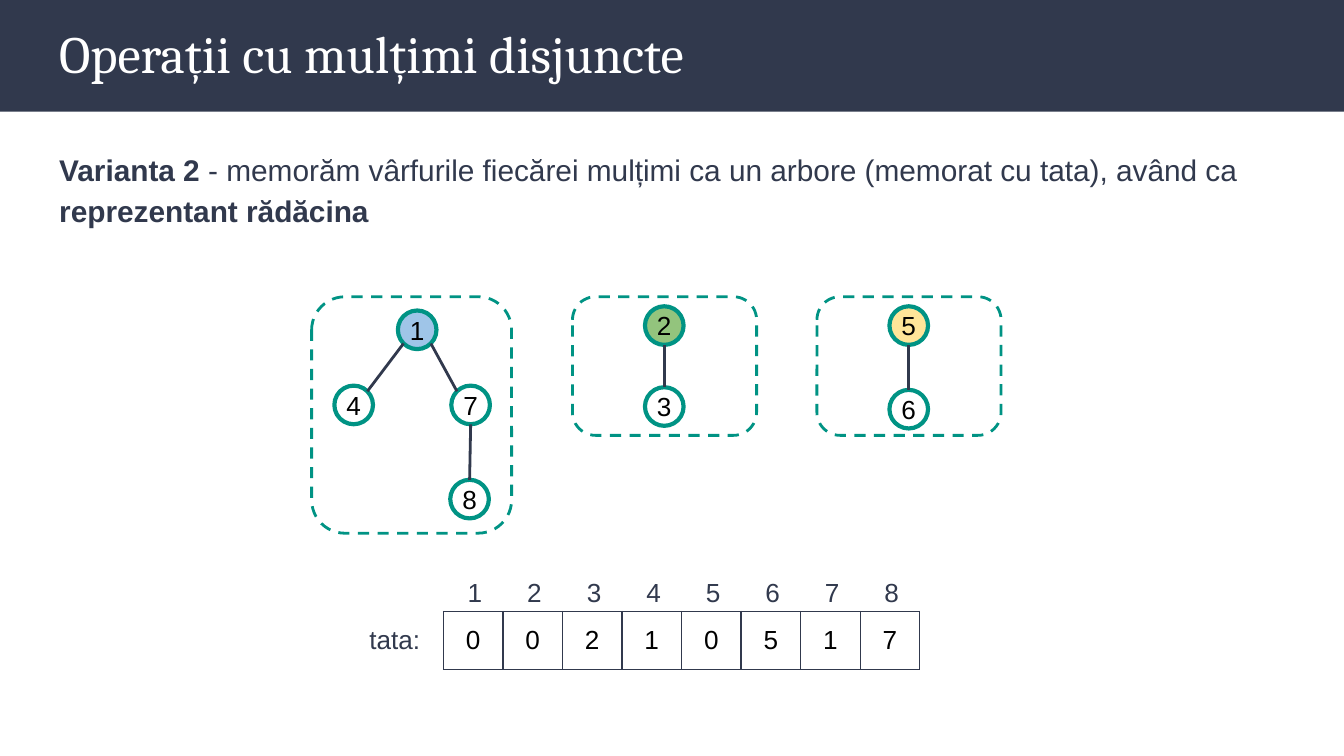
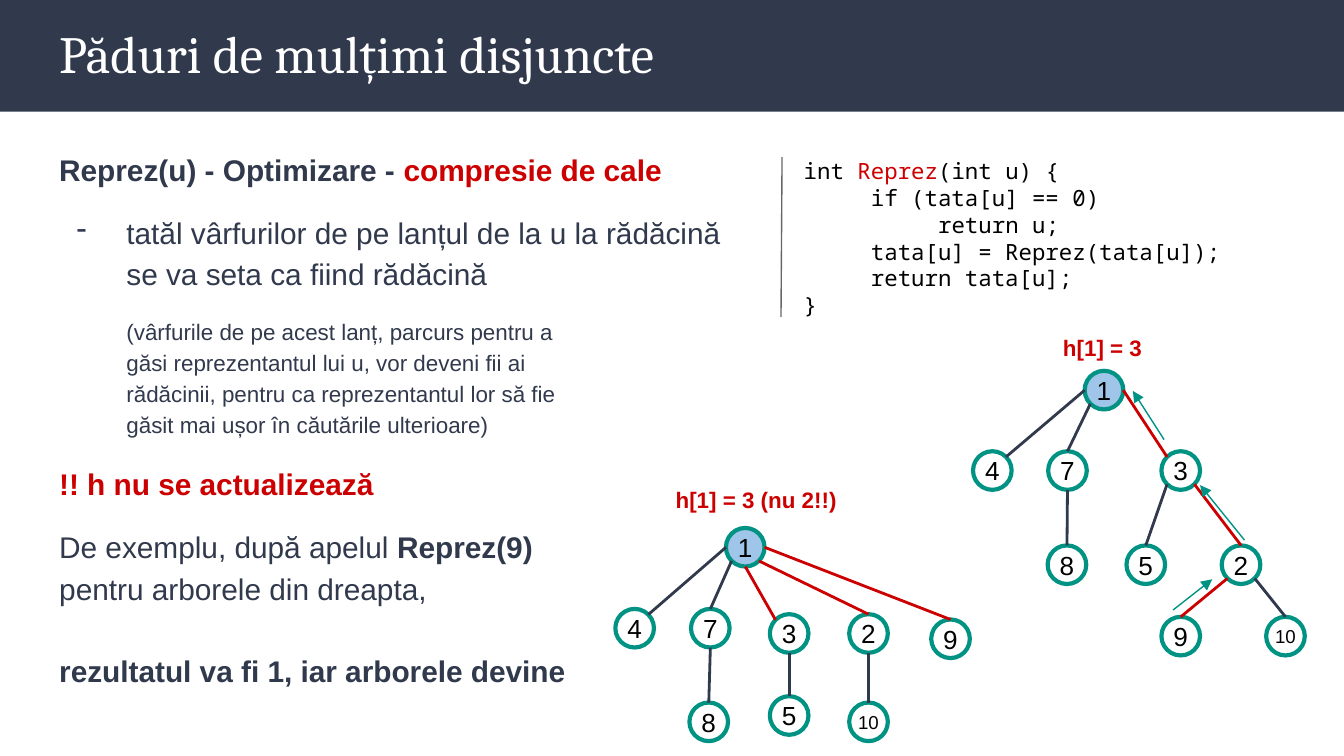
import math
from dataclasses import dataclass
from typing import Any, NamedTuple

import pptx
import pptx.dml.color
import pptx.enum.dml
import pptx.enum.shapes
import pptx.enum.text
import pptx.oxml
import pptx.oxml.ns
import pptx.util

Cm = pptx.util.Cm
Pt = pptx.util.Pt
SHAPE = pptx.enum.shapes.MSO_SHAPE
ANCHOR = pptx.enum.text.MSO_ANCHOR
ALIGN = pptx.enum.text.PP_ALIGN


@dataclass(frozen=True)
class Theme:
    navy: str = "31394D"
    teal: str = "009384"
    red: str = "CC0000"
    blue: str = "9FC5E8"
    green: str = "93C47D"
    yellow: str = "FFE599"
    gray: str = "666666"
    black: str = "000000"
    white: str = "FFFFFF"
    title: float = 28
    body: float = 16
    label: float = 14
    note: float = 12
    tiny: float = 10
    sans: str = "Arial"
    serif: str = "Cambria"
    mono: str = "Noto Sans Mono"


T = Theme()
PAGE_W, PAGE_H = 25.4, 14.29
INSET, NODE_INSET = 0.25, 0.05
NODE = 0.73
INDEX_W = 9
RIM = {side: math.radians(45 * i) for i, side in enumerate(("E", "SE", "S", "SW", "W", "NW", "N", "NE"))}


class Box(NamedTuple):
    x: float
    y: float
    w: float
    h: float


class Run(NamedTuple):
    text: str
    color: str = T.navy
    size: float = T.body
    bold: bool = False
    font: str = T.sans


class Para(NamedTuple):
    runs: list[Run]
    fmt: dict[str, Any] = {}
    indent: float = 0
    hang: float = 0
    bullet: str = ""
    tabs: tuple[float, ...] = ()


class Node(NamedTuple):
    label: str
    x: float
    y: float
    fill: str = ""


class Edge(NamedTuple):
    parent: str
    start: str
    child: str
    end: str
    color: str = T.navy


class Tree(NamedTuple):
    nodes: list[Node]
    edges: list[Edge]


def apply(target: Any, values: dict[str, Any]) -> None:
    for name, value in values.items():
        setattr(target, name, value)


def rgb(color: str) -> pptx.dml.color.RGBColor:
    return pptx.dml.color.RGBColor.from_string(color)


def xml(tag: str, attrs: str = "", inner: str = "") -> Any:
    return pptx.oxml.parse_xml(f'<a:{tag} {pptx.oxml.ns.nsdecls("a")} {attrs}>{inner}</a:{tag}>')


def solid(color: str) -> str:
    return f'<a:solidFill><a:srgbClr val="{color}"/></a:solidFill>'


def margins(inset: float) -> dict[str, Any]:
    return {f"margin_{side}": Cm(inset) for side in ("left", "right", "top", "bottom")}


def add_run(p: Any, run: Run) -> None:
    for i, line in enumerate(run.text.split("\n")):
        if i:
            p.add_line_break()
        if line:
            r = p.add_run()
            r.text = line
            apply(r.font, {"size": Pt(run.size), "bold": run.bold, "name": run.font})
            r.font.color.rgb = rgb(run.color)


def write(tf: Any, paras: list[Para]) -> None:
    for i, para in enumerate(paras):
        p = tf.add_paragraph() if i else tf.paragraphs[0]
        pPr = p._p.get_or_add_pPr()
        if para.indent:
            pPr.set("marL", str(Cm(para.indent)))
            pPr.set("indent", str(Cm(para.hang)))
        if para.bullet:
            pPr.append(xml("buClr", inner=f'<a:srgbClr val="{T.navy}"/>'))
            pPr.append(xml("buChar", f'char="{para.bullet}"'))
        if para.tabs:
            stops = "".join(f'<a:tab pos="{Cm(t)}" algn="l"/>' for t in para.tabs)
            pPr.append(xml("tabLst", inner=stops))
        apply(p, para.fmt)
        for run in para.runs:
            add_run(p, run)


def add_text(slide: Any, box: Box, paras: list[Para]) -> None:
    tf = slide.shapes.add_textbox(*map(Cm, box)).text_frame
    apply(tf, {"word_wrap": True, **margins(INSET)})
    write(tf, paras)


def add_shape(slide: Any, kind: Any, box: Box, fill: str = "", line: str = "", width: float = 1) -> Any:
    sp = slide.shapes.add_shape(kind, *map(Cm, box))
    sp.shadow.inherit = False
    if fill:
        sp.fill.solid()
        sp.fill.fore_color.rgb = rgb(fill)
    else:
        sp.fill.background()
    if line:
        sp.line.color.rgb = rgb(line)
        sp.line.width = Pt(width)
    else:
        sp.line.fill.background()
    return sp


def add_line(slide: Any, ends: tuple[float, ...], color: str, width: float, arrow: bool = False) -> None:
    cx = slide.shapes.add_connector(pptx.enum.shapes.MSO_CONNECTOR.STRAIGHT, *map(Cm, ends))
    cx.line.color.rgb = rgb(color)
    cx.line.width = Pt(width)
    if arrow:
        cx.line._get_or_add_ln().append(xml("tailEnd", 'type="triangle"'))
    cx._element.spPr.append(xml("effectLst"))


def rim_point(node: Node, side: str) -> tuple[float, float]:
    r = NODE / 2
    return node.x + r + r * math.cos(RIM[side]), node.y + r + r * math.sin(RIM[side])


def add_tree(slide: Any, tree: Tree) -> None:
    for node in tree.nodes:
        sp = add_shape(slide, SHAPE.OVAL, Box(node.x, node.y, NODE, NODE), node.fill, T.teal, 2.25)
        tf = sp.text_frame
        apply(tf, {"vertical_anchor": ANCHOR.MIDDLE, "word_wrap": True, **margins(NODE_INSET)})
        size = T.tiny if len(node.label) > 1 else T.label
        write(tf, [Para([Run(node.label, T.black, size)], {"alignment": ALIGN.CENTER})])
    by_label = {node.label: node for node in tree.nodes}
    for edge in tree.edges:
        ends = rim_point(by_label[edge.parent], edge.start) + rim_point(by_label[edge.child], edge.end)
        add_line(slide, ends, edge.color, 1.5)


def add_parent_table(slide: Any, box: Box, values: str) -> None:
    table = slide.shapes.add_table(1, len(values), *map(Cm, box)).table
    apply(table, {"first_row": False, "horz_banding": False})
    table.rows[0].height = Cm(box.h)
    for col, value in enumerate(values):
        table.columns[col].width = Cm(box.w / len(values))
        cell = table.cell(0, col)
        apply(cell, {"vertical_anchor": ANCHOR.MIDDLE, **margins(INSET)})
        for side in "LRTB":
            cell._tc.get_or_add_tcPr().append(xml(f"ln{side}", f'w="{Pt(0.75)}"', solid(T.navy)))
        cell.fill.background()
        write(cell.text_frame, [Para([Run(value, T.black, T.label)], {"alignment": ALIGN.CENTER})])


def add_slide(prs: Any, title: str) -> Any:
    slide = prs.slides.add_slide(prs.slide_layouts[6])
    add_shape(slide, SHAPE.RECTANGLE, Box(0, 0, PAGE_W, 2.11), T.navy)
    add_text(slide, Box(0.87, 0.15, 23.67, 1.73), [Para([Run(title, T.white, T.title, font=T.serif)])])
    return slide


FIRST = {"line_spacing": 1.15}
NEXT = {**FIRST, "space_before": Pt(12)}
AFTER_GAP = {**FIRST, "space_before": Pt(22)}

SETS = [Box(5.89, 5.61, 3.78, 4.47), Box(15.44, 5.61, 3.48, 2.62), Box(10.82, 5.61, 3.48, 2.62)]
FOREST = Tree(
    [Node("1", 7.52, 5.87, T.blue), Node("7", 8.53, 7.29), Node("4", 6.32, 7.29), Node("8", 8.51, 9.07),
     Node("2", 12.19, 5.79, T.green), Node("3", 12.19, 7.32),
     Node("5", 16.81, 5.79, T.yellow), Node("6", 16.81, 7.37)],
    [Edge("1", "SW", "4", "NE"), Edge("1", "SE", "7", "NW"), Edge("7", "S", "8", "N"),
     Edge("2", "S", "3", "N"), Edge("5", "S", "6", "N")],
)

COMMON_EDGES = [Edge("1", "W", "4", "NE"), Edge("1", "SW", "7", "N"), Edge("7", "S", "8", "N")]
BEFORE = Tree(
    [Node("1", 20.5, 7.01, T.blue), Node("7", 19.81, 8.53), Node("4", 18.39, 8.53), Node("8", 19.8, 10.31),
     Node("3", 21.95, 8.53), Node("5", 21.29, 10.31), Node("2", 23.09, 10.31),
     Node("9", 21.95, 11.66), Node("10", 23.93, 11.66)],
    COMMON_EDGES + [Edge("3", "SW", "5", "N"), Edge("2", "SE", "10", "N"), Edge("1", "E", "3", "NW", T.red),
                    Edge("3", "SE", "2", "N", T.red), Edge("2", "SW", "9", "N", T.red)],
)
AFTER = Tree(
    [Node("1", 13.72, 9.98, T.blue), Node("7", 13.06, 11.51), Node("4", 11.63, 11.51), Node("8", 13.03, 13.28),
     Node("3", 14.55, 11.61), Node("5", 14.55, 13.16), Node("2", 16.05, 11.61),
     Node("9", 17.6, 11.71), Node("10", 16.05, 13.28)],
    COMMON_EDGES + [Edge("3", "S", "5", "N"), Edge("2", "S", "10", "N"), Edge("1", "S", "3", "NW", T.red),
                    Edge("1", "SE", "2", "N", T.red), Edge("1", "E", "9", "N", T.red)],
)
CLIMB = [(22.17, 11.53, 22.91, 10.95), (23.52, 10.21, 22.68, 9.17), (22, 8.31, 21.41, 7.39)]
HEIGHTS = [("h[1] = 3", Box(19.84, 6.07, 2.1, 1.02)), ("h[1] = 3 (nu 2!!)", Box(12.52, 8.94, 3.75, 1.02))]

COMPRESSION = [
    Para([Run("Reprez(u) - Optimizare - ", bold=True), Run("compresie de cale", T.red, bold=True)], FIRST),
    Para([Run("tatăl vârfurilor de pe lanțul de la u la rădăcină\nse va seta ca fiind rădăcină")],
         NEXT, 1.27, -0.94, "-"),
    Para([Run("(vârfurile de pe acest lanț, parcurs pentru a\ngăsi reprezentantul lui u, vor deveni fii ai\n"
              "rădăcinii, pentru ca reprezentantul lor să fie\ngăsit mai ușor în căutările ulterioare)",
              size=T.note)], NEXT, 1.27),
    Para([Run("!! h nu se actualizează", T.red, bold=True)], NEXT),
    Para([Run("De exemplu, după apelul "), Run("Reprez(9)", bold=True),
          Run("\npentru arborele din dreapta,")], NEXT),
    Para([Run("rezultatul va fi 1, iar arborele devine", bold=True)], AFTER_GAP),
]
CODE = [
    [("int ", T.black), ("Reprez", T.red), ("(int u) {", T.black)],
    [("\tif (tata[u] == 0)", T.black)],
    [("\t\treturn u;", T.black)],
    [("\ttata[u] = Reprez(tata[u]);", T.black)],
    [("\treturn tata[u];", T.black)],
    [("}", T.black)],
]


def build_operations(prs: Any) -> None:
    slide = add_slide(prs, "Operații cu mulțimi disjuncte")
    add_text(slide, Box(0.87, 2.51, 23.67, 2.5), [Para([
        Run("Varianta 2", bold=True),
        Run(" - memorăm vârfurile fiecărei mulțimi ca un arbore (memorat cu tata), având ca "),
        Run("reprezentant rădăcina", bold=True)], FIRST)])
    for box in SETS:
        sp = add_shape(slide, SHAPE.ROUNDED_RECTANGLE, box, line=T.teal, width=1.5)
        sp.line.dash_style = pptx.enum.dml.MSO_LINE.DASH
    add_tree(slide, FOREST)
    values = "00210517"
    add_parent_table(slide, Box(8.38, 11.56, INDEX_W, 1.1), values)
    add_text(slide, Box(6.73, 11.53, 1.55, 1.12), [Para([Run("tata:", size=T.label)])])
    indices = "\t".join(str(i + 1) for i in range(len(values)))
    stops = tuple(INDEX_W / len(values) * i for i in range(1, len(values)))
    add_text(slide, Box(8.59, 10.64, 9.3, 1.12), [Para([Run(indices, size=T.label)], tabs=stops)])


def build_forests(prs: Any) -> None:
    slide = add_slide(prs, "Păduri de mulțimi disjuncte")
    add_text(slide, Box(0.87, 2.51, 23.67, 11.46), COMPRESSION)
    add_text(slide, Box(14.94, 2.72, 9.8, 3.58),
             [Para([Run(text, color, T.note, font=T.mono) for text, color in line]) for line in CODE])
    add_line(slide, (14.78, 2.97, 14.76, 5.99), T.gray, 0.75)
    for tree in (BEFORE, AFTER):
        add_tree(slide, tree)
    for ends in CLIMB:
        add_line(slide, ends, T.teal, 0.75, arrow=True)
    for text, box in HEIGHTS:
        add_text(slide, box, [Para([Run(text, T.red, T.note, True)])])


def main() -> None:
    prs = pptx.Presentation()
    apply(prs, {"slide_width": Cm(PAGE_W), "slide_height": Cm(PAGE_H)})
    build_operations(prs)
    build_forests(prs)
    prs.save("out.pptx")


if __name__ == "__main__":
    main()
